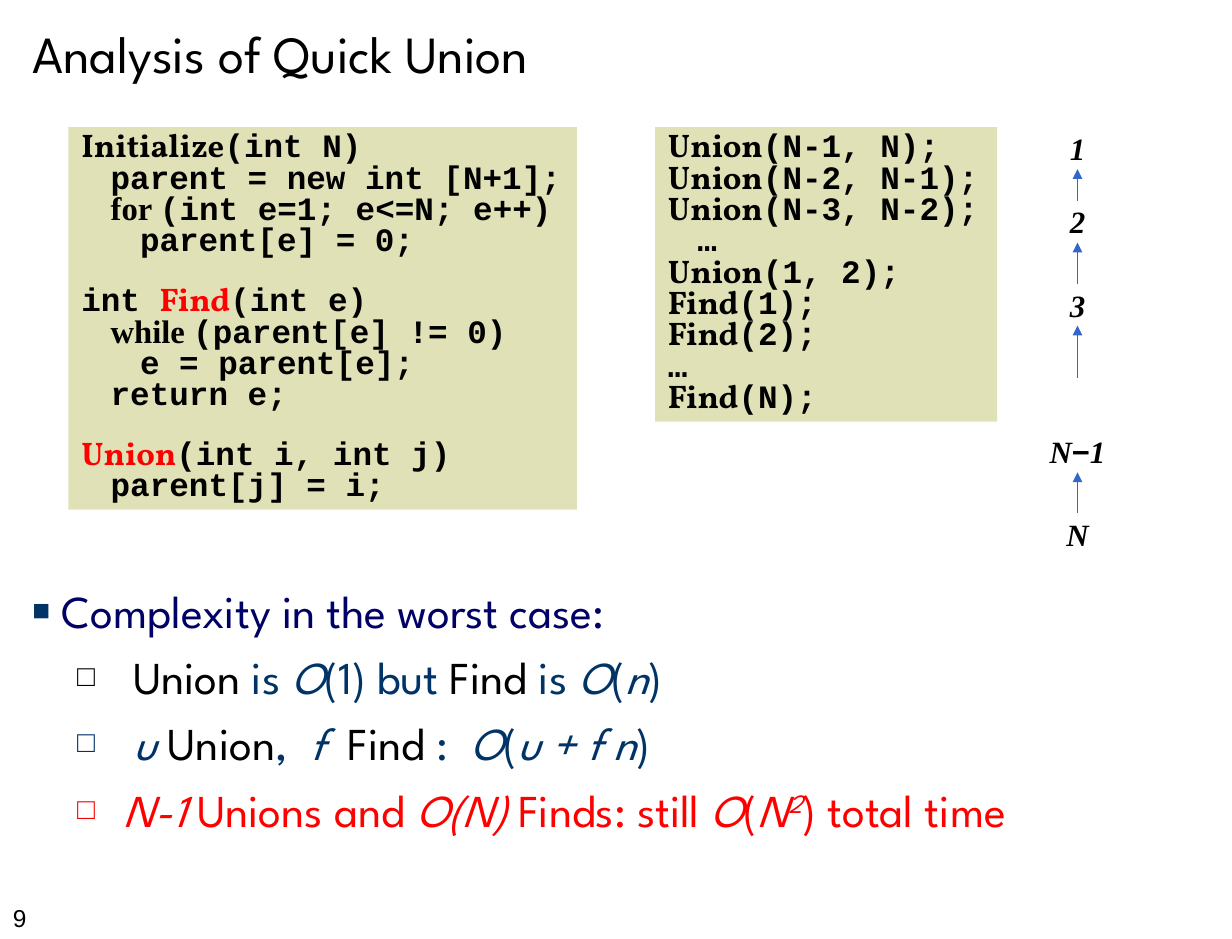
from dataclasses import dataclass

from lxml import etree
from pptx import Presentation, util as u
from pptx.dml.color import RGBColor
from pptx.enum import shapes, text
from pptx.oxml.ns import qn

COLS, ROWS = 126, 96
CELL = u.Inches(10.5) / COLS


@dataclass(frozen=True)
class Theme:
    black: str = "000000"
    navy: str = "000066"
    teal: str = "003366"
    red: str = "FF0000"
    blue: str = "3366CC"
    panel: str = "E1E1B7"
    sans: str = "League Spartan"
    slab: str = "Vollkorn"
    mono: str = "Courier New"
    serif: str = "Times New Roman"
    plain: str = "Arial"
    title: int = 32
    body: int = 28
    code: int = 20
    node: int = 19
    page: int = 15


T = Theme()


def style(name, size, color=T.black, bold=False, italic=False):
    return color, dict(name=name, size=u.Pt(size), bold=bold, italic=italic)


STYLES = {
    "title": style(T.sans, T.title),
    "page": style(T.plain, T.page),
    # code
    "code": style(T.mono, T.code, bold=True),
    "word": style(T.serif, T.code, bold=True),
    "name": style(T.slab, T.code, bold=True),
    "hot": style(T.slab, T.code, T.red, bold=True),
    # chain
    "node": style(T.serif, T.node, bold=True, italic=True),
    "minus": style(T.plain, T.node, bold=True),
    # list
    "head": style(T.sans, T.body, T.navy),
    "dark": style(T.sans, T.body),
    "text": style(T.sans, T.body, T.teal),
    "math": style(T.sans, T.body, T.teal, italic=True),
    "red": style(T.sans, T.body, T.red),
    "redmath": style(T.sans, T.body, T.red, italic=True),
    "power": style(T.sans, T.body, T.red, italic=True),
}

CODE = [
    [("name", "Initialize"), ("code", "(int N)")],
    [("code", "\tparent = new int [N+1];")],
    [("code", "\t"), ("word", "for "), ("code", "(int e=1; e<=N; e++)")],
    [("code", "\t\tparent[e] = 0;")],
    [("code", "int "), ("hot", "Find"), ("code", "(int e)")],
    [("code", "\t"), ("word", "while "), ("code", "(parent[e] != 0)")],
    [("code", "\t\te = parent[e];")],
    [("code", "\treturn e;")],
    [("hot", "Union"), ("code", "(int i, int j)")],
    [("code", "\tparent[j] = i;")],
]
CALLS = [[("name", name), ("code", rest)] if name else [("code", rest)]
         for name, rest in [
             ("Union", "(N-1, N);"), ("Union", "(N-2, N-1);"),
             ("Union", "(N-3, N-2);"), ("", "\t…"), ("Union", "(1, 2);"),
             ("Find", "(1);"), ("Find", "(2);"), ("", "…"), ("Find", "(N);")]]

# Label, row of its top, row where the arrow into it starts
CHAIN = [
    ([("node", "1")], 0, 7.5),
    ([("node", "2")], 7.5, 16),
    ([("node", "3")], 16, 25.6),
    ([("node", "N"), ("minus", "−"), ("node", "1")], 31, 39.5),
    ([("node", "N")], 39.5, None),
]

# Level, mark, mark colour, left edge and hang in inches, runs
POINTS = [
    (0, "■", T.teal, 0.25, 0.25, [("head", "Complexity in the worst case:")]),
    (1, "□", T.black, 0.86, 0.48, [
        ("dark", "Union"), ("text", " is "), ("math", "O"), ("text", "(1) but "),
        ("dark", "Find"), ("text", " is "), ("math", "O"), ("text", "("),
        ("math", "n"), ("text", ")")]),
    (1, "□", T.teal, 0.86, 0.48, [
        ("math", "u "), ("dark", "Union"), ("text", ",  "), ("math", "f  "),
        ("dark", "Find"), ("text", " :  "), ("math", "O"), ("text", "("),
        ("math", "u + f n"), ("text", ")")]),
    (1, "□", T.red, 0.78, 0.4, [
        ("redmath", "N-1 "), ("red", "Unions and "), ("redmath", "O(N) "),
        ("red", "Finds: still "), ("redmath", "O"), ("red", "("),
        ("redmath", "N"), ("power", "2"), ("red", ") total time")]),
]


def grid(*cells):
    return [round(c * CELL) for c in cells]


def add(parent, tag, **attrs):
    return etree.SubElement(parent, qn(tag), {k: str(v) for k, v in attrs.items()})


def setup(shape, anchor=text.MSO_ANCHOR.TOP, wrap=True):
    frame = shape.text_frame
    side, edge = u.Inches(0.11), u.Inches(0.05)
    fmt = dict(word_wrap=wrap, vertical_anchor=anchor, margin_left=side,
               margin_right=side, margin_top=edge, margin_bottom=edge)
    for key, val in fmt.items():
        setattr(frame, key, val)
    return frame


def write(frame, lines, align=text.PP_ALIGN.LEFT):
    for i, line in enumerate(lines):
        para = frame.add_paragraph() if i else frame.paragraphs[0]
        para.alignment = align
        for kind, words in line:
            run = para.add_run()
            run.text = words
            color, fmt = STYLES[kind]
            for key, val in fmt.items():
                setattr(run.font, key, val)
            run.font.color.rgb = RGBColor.from_string(color)
            if kind == "power":
                run.font._element.set("baseline", "30000")
    return frame.paragraphs


def label(slide, box, runs, anchor=text.MSO_ANCHOR.TOP):
    write(setup(slide.shapes.add_textbox(*grid(*box)), anchor), [runs])


def panel(slide, box, lines, heads=()):
    """Code on a tinted panel; each line in heads opens a new block."""
    shape = slide.shapes.add_shape(shapes.MSO_SHAPE.RECTANGLE, *grid(*box))
    shape.shadow.inherit = False
    shape.fill.solid()
    shape.fill.fore_color.rgb = RGBColor.from_string(T.panel)
    shape.line.fill.background()
    for i, para in enumerate(write(setup(shape), lines)):
        para.line_spacing = 0.8
        para.space_before = u.Pt(17.5 if i in heads else 0)
        tabs = add(para._p.get_or_add_pPr(), "a:tabLst")
        for step in range(1, 8):
            add(tabs, "a:tab", pos=u.Inches(step / 4), algn="l")


def chain(slide, box):
    """Nodes in a column, each pointing to the one above."""
    left, top, wide, _ = box
    high = 4.3
    for runs, row, start in CHAIN:
        node = slide.shapes.add_textbox(*grid(left, top + row, wide, high))
        write(setup(node, text.MSO_ANCHOR.MIDDLE, False), [runs],
              text.PP_ALIGN.CENTER)
        if start is None:
            continue
        mid = left + wide / 2
        line = slide.shapes.add_connector(
            shapes.MSO_CONNECTOR.STRAIGHT,
            *grid(mid, top + start, mid, top + row + high))
        line.line.color.rgb = RGBColor.from_string(T.blue)
        line.line.width = u.Pt(0.75)
        add(line.line._get_or_add_ln(), "a:tailEnd", type="triangle")
        add(line._element.spPr, "a:effectLst")


def points(slide, box):
    """Bulleted list."""
    frame = setup(slide.shapes.add_textbox(*grid(*box)))
    paras = write(frame, [item[-1] for item in POINTS])
    for para, (level, mark, color, left, hang, _) in zip(paras, POINTS):
        para.level = level
        para.space_before = u.Pt(7)
        prop = para._p.get_or_add_pPr()
        prop.set("marL", str(u.Inches(left)))
        prop.set("indent", str(-u.Inches(hang)))
        add(add(prop, "a:buClr"), "a:srgbClr", val=color)
        add(prop, "a:buSzPct", val=65000)
        add(prop, "a:buFont", typeface=T.plain)
        add(prop, "a:buChar", char=mark)


def main():
    deck = Presentation()
    deck.slide_width, deck.slide_height = grid(COLS, ROWS)
    slide = deck.slides.add_slide(deck.slide_layouts[6])
    # Page number and title
    label(slide, (0, 91.7, 26.3, 4.3), [("page", "9")])
    label(slide, (2, 0, 121.2, 10.7), [("title", "Analysis of Quick Union")],
          text.MSO_ANCHOR.MIDDLE)
    # Complexity list
    points(slide, (2, 59, 120.8, 31.7))
    # Code, resulting tree and call sequence
    panel(slide, (7, 13, 52, 39.1), CODE, heads=(4, 8))
    chain(slide, (106, 13, 8.4, 43.8))
    panel(slide, (67, 13, 35, 30.1), CALLS)
    deck.save("out.pptx")


if __name__ == "__main__":
    main()
